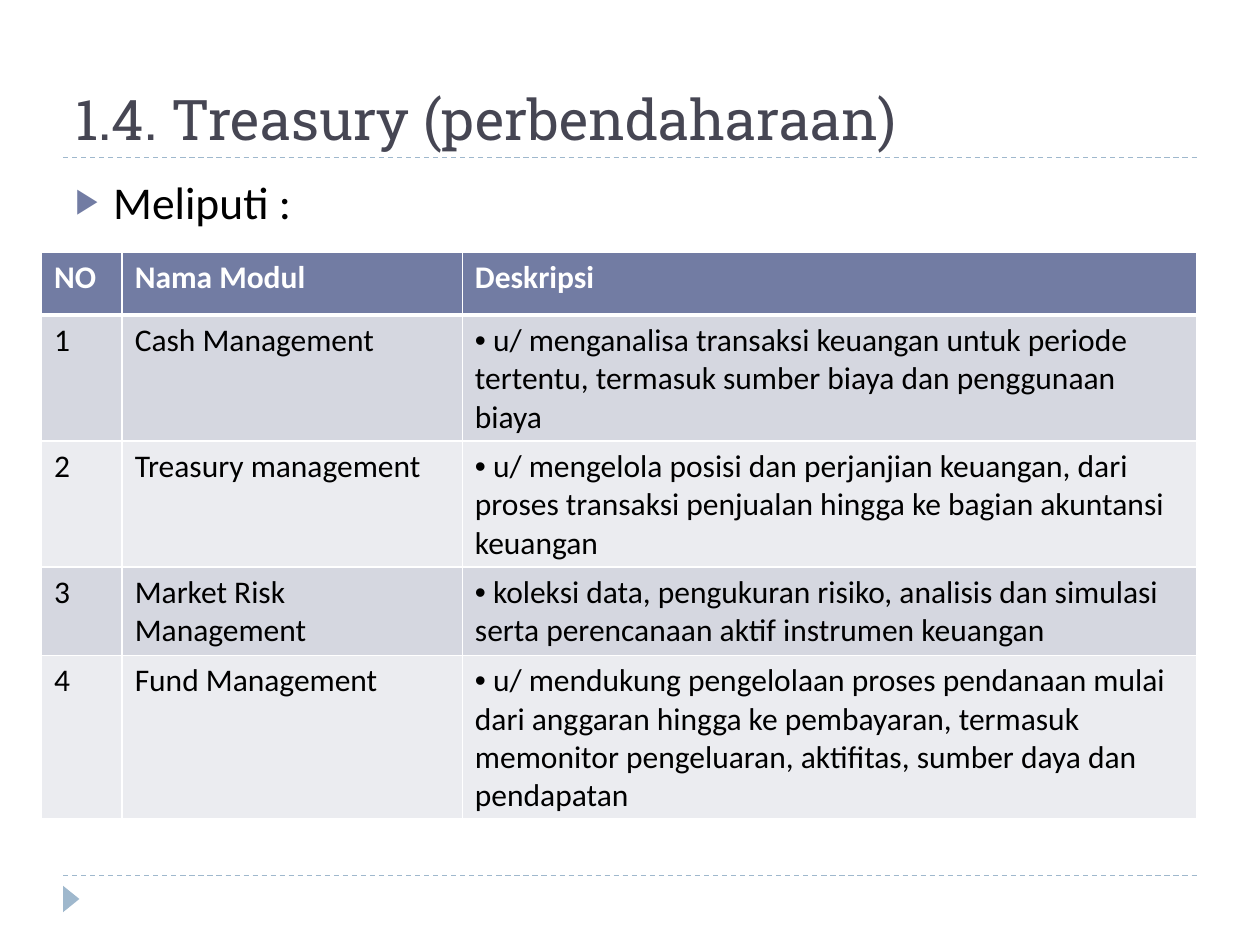
from lxml.etree import SubElement
from pptx import Presentation
from pptx.dml.color import RGBColor
from pptx.enum.dml import MSO_LINE
from pptx.enum.shapes import MSO_CONNECTOR, MSO_SHAPE
from pptx.enum.text import MSO_ANCHOR
from pptx.oxml import parse_xml
from pptx.oxml.ns import nsdecls, qn
from pptx.util import Inches, Pt

COLORS = {
    "title": "464653", "text": "000000", "white": "FFFFFF", "accent": "727CA3",
    "rule": "9FB8CD", "odd": "D5D7E0", "even": "EBECF0",
}
MODULES = [
    ("NO", "Nama Modul", "Deskripsi"),
    ("1", "Cash Management",
     " u/ menganalisa transaksi keuangan untuk periode tertentu, "
     "termasuk sumber biaya dan penggunaan biaya"),
    ("2", "Treasury management",
     " u/ mengelola posisi dan perjanjian keuangan, dari proses transaksi "
     "penjualan hingga ke bagian akuntansi keuangan"),
    ("3", "Market Risk Management",
     " koleksi data, pengukuran risiko, analisis dan simulasi "
     "serta perencanaan aktif instrumen keuangan"),
    ("4", "Fund Management",
     " u/ mendukung pengelolaan proses pendanaan mulai dari anggaran hingga ke "
     "pembayaran, termasuk memonitor pengeluaran, aktifitas, sumber daya dan pendapatan"),
]
COLUMN_WIDTHS = [0.64, 2.7, 5.83]
HEADER_HEIGHT, ROW_HEIGHT = 0.5, 0.41
MARGIN, CONTENT_WIDTH = 0.5, 9


def write(frame, text, size, face, color, bold=False):
    frame.word_wrap = True
    paragraph = frame.paragraphs[0]
    paragraph.text = text
    font = paragraph.font
    font.size, font.name, font.bold = Pt(size), face, bold
    font.color.rgb = RGBColor.from_string(COLORS[color])
    return paragraph


def add_bullet(paragraph, char, color=None, percent=100):
    properties = paragraph._p.get_or_add_pPr()
    marks = []
    if color:
        marks.append(f'<a:buClr {nsdecls("a")}><a:srgbClr val="{COLORS[color]}"/></a:buClr>')
    marks.append(f'<a:buSzPct {nsdecls("a")} val="{percent * 1000}"/>')
    marks.append(f'<a:buFont {nsdecls("a")} typeface="Arial"/>')
    marks.append(f'<a:buChar {nsdecls("a")} char="{char}"/>')
    place = len(properties.findall(qn("a:spcBef")))
    for offset, mark in enumerate(marks):
        properties.insert(place + offset, parse_xml(mark))


deck = Presentation()
deck.slide_width, deck.slide_height = Inches(10), Inches(7.5)
slide = deck.slides.add_slide(deck.slide_layouts[6])
shapes = slide.shapes

for y in (6.95, 1.25):
    rule = shapes.add_connector(MSO_CONNECTOR.STRAIGHT, Inches(MARGIN), Inches(y),
                                Inches(MARGIN + CONTENT_WIDTH), Inches(y))
    rule.line.color.rgb = RGBColor.from_string(COLORS["rule"])
    rule.line.width = Pt(0.75)
    rule.line.dash_style = MSO_LINE.DASH
    SubElement(rule._element.spPr, qn("a:effectLst"))

marker = shapes.add_shape(MSO_SHAPE.ISOSCELES_TRIANGLE, Inches(0.46), Inches(7.07),
                          Inches(0.21), Inches(0.13))
marker.rotation = 90
marker.shadow.inherit = False
marker.fill.solid()
marker.fill.fore_color.rgb = RGBColor.from_string(COLORS["rule"])
marker.line.fill.background()

title = shapes.add_textbox(Inches(MARGIN), Inches(0.17), Inches(CONTENT_WIDTH), Inches(1.08))
title.text_frame.vertical_anchor = MSO_ANCHOR.BOTTOM
write(title.text_frame, "1.4. Treasury (perbendaharaan)", 32, "Roboto Slab", "title")

intro = shapes.add_textbox(Inches(MARGIN), Inches(1.33), Inches(CONTENT_WIDTH), Inches(5.4))
lead = write(intro.text_frame, "Meliputi : ", 26, "Calibri", "text")
lead.space_before = Pt(6)
lead_properties = lead._p.get_or_add_pPr()
lead_properties.set("marL", str(Inches(0.3)))
lead_properties.set("indent", str(-Inches(0.3)))
add_bullet(lead, "\u25b6", "accent", 76)

modules = shapes.add_table(
    len(MODULES), len(COLUMN_WIDTHS), Inches(0.33), Inches(2), Inches(sum(COLUMN_WIDTHS)),
    Inches(HEADER_HEIGHT + ROW_HEIGHT * (len(MODULES) - 1))).table
for column, width in zip(modules.columns, COLUMN_WIDTHS):
    column.width = Inches(width)
for r, entry in enumerate(MODULES):
    header = r == 0
    modules.rows[r].height = Inches(HEADER_HEIGHT if header else ROW_HEIGHT)
    fill = "accent" if header else "odd" if r % 2 else "even"
    for c, text in enumerate(entry):
        cell = modules.cell(r, c)
        paragraph = write(cell.text_frame, text, 18, "Calibri",
                          "white" if header else "text", header)
        if c == 2 and not header:
            add_bullet(paragraph, "\u2022")
        cell.fill.solid()
        cell.fill.fore_color.rgb = RGBColor.from_string(COLORS[fill])
        for place, side in enumerate("LRTB"):
            thick = (header and side == "B") or (r == 1 and side == "T")
            cell._tc.tcPr.insert(place, parse_xml(
                f'<a:ln{side} {nsdecls("a")} w="{Pt(3 if thick else 1)}"><a:solidFill>'
                f'<a:srgbClr val="{COLORS["white"]}"/></a:solidFill></a:ln{side}>'))

deck.save("out.pptx")
